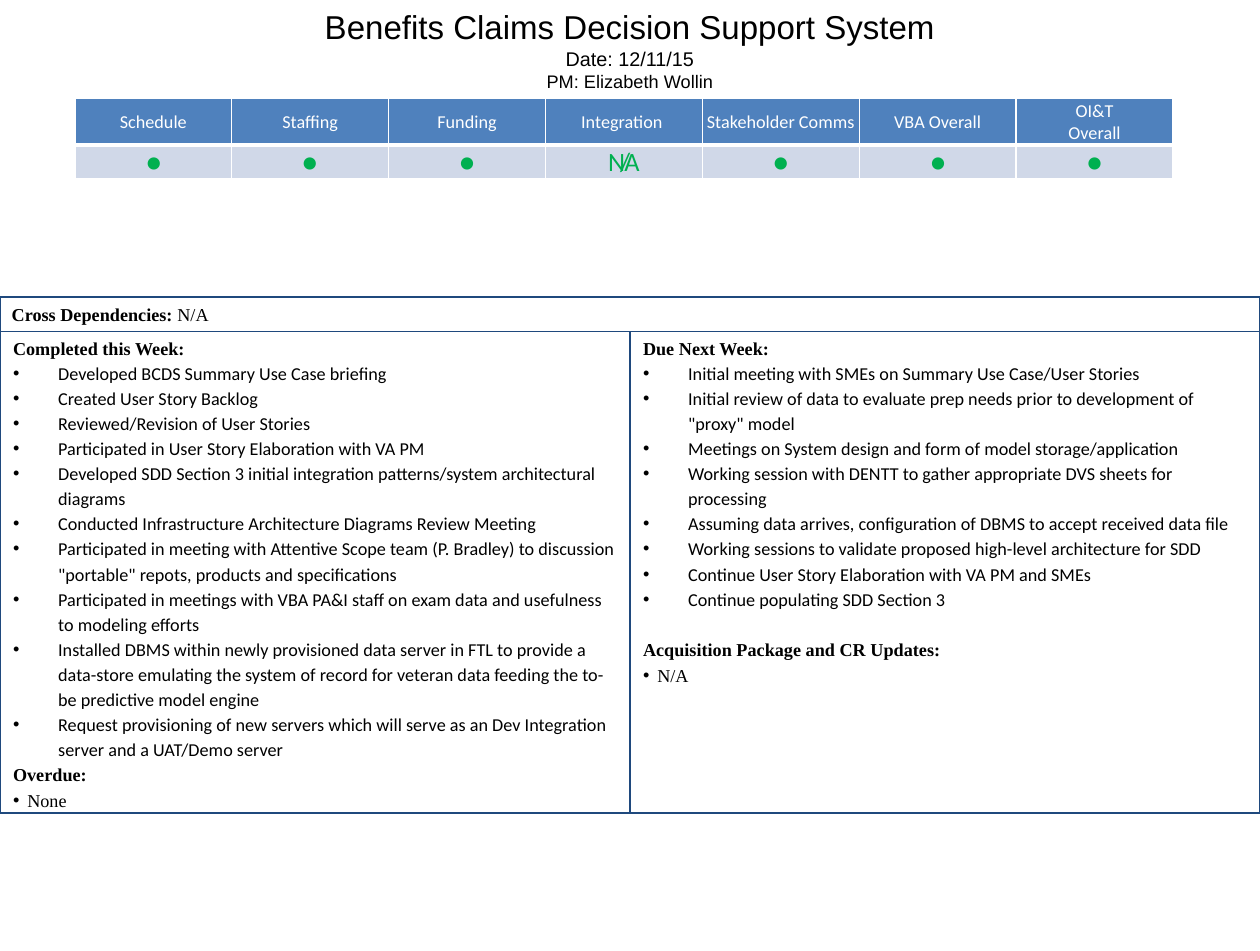
from lxml import etree
from pptx import Presentation
from pptx import util as u
from pptx.dml.color import RGBColor
from pptx.enum import shapes, text
from pptx.oxml.ns import qn

NAVY, BLUE, PALE = "1F497D", "4F81BD", "D0D8E8"
GREEN, WHITE, BLACK = "00B050", "FFFFFF", "000000"
SERIF = "Times New Roman"

STATUSES = [
    ("Schedule", " ●"),
    ("Staffing", "● "),
    ("Funding", " ● "),
    ("Integration ", " N/A "),
    ("Stakeholder Comms", " ● "),
    ("VBA Overall", "  ● "),
    ("OI&T\nOverall", "●"),
]
COMPLETED = [
    "Developed BCDS Summary Use Case briefing",
    "Created User Story Backlog",
    "Reviewed/Revision of User Stories",
    "Participated in User Story Elaboration with VA PM",
    "Developed SDD Section 3 initial integration patterns/system architectural diagrams",
    "Conducted Infrastructure Architecture Diagrams Review Meeting",
    "Participated in meeting with Attentive Scope team (P. Bradley) to discussion "
    '"portable" repots, products and specifications',
    "Participated in meetings with VBA PA&I staff on exam data and usefulness to modeling efforts",
    "Installed DBMS within newly provisioned data server in FTL to provide a data-store "
    "emulating the system of record for veteran data feeding the to-be predictive model engine",
    "Request provisioning of new servers which will serve as an Dev Integration server "
    "and a UAT/Demo server",
]
DUE = [
    "Initial meeting with SMEs on Summary Use Case/User Stories",
    'Initial review of data to evaluate prep needs prior to development of "proxy" model',
    "Meetings on System design and form of model storage/application",
    "Working session with DENTT to gather appropriate DVS sheets for processing",
    "Assuming data arrives, configuration of DBMS to accept received data file",
    "Working sessions to validate proposed high-level architecture for SDD",
    "Continue User Story Elaboration with VA PM and SMEs",
    "Continue populating SDD Section 3",
]


def color(value):
    return RGBColor.from_string(value)


def style(para, size, face, shade=BLACK, bold=False):
    para.font.size = u.Pt(size)
    para.font.name = face
    para.font.color.rgb = color(shade)
    para.font.bold = bold


def add_bullet(para, indent):
    props = para._p.get_or_add_pPr()
    props.set("marL", str(u.Inches(indent)))
    props.set("indent", str(-u.Inches(indent)))
    etree.SubElement(props, qn("a:buFont")).set("typeface", "Arial")
    etree.SubElement(props, qn("a:buChar")).set("char", "•")


def add_panel(page, left, top, width, height):
    panel = page.shapes.add_shape(
        shapes.MSO_SHAPE.RECTANGLE, *map(u.Inches, (left, top, width, height)))
    panel.shadow.inherit = False
    panel.fill.background()
    panel.line.color.rgb = color(NAVY)
    panel.line.width = u.Pt(1)
    panel.text_frame.word_wrap = True
    return panel.text_frame


def add_list_panel(page, left, title, items, closing, closing_item, gap):
    frame = add_panel(page, left, 2.79, 5.3, 4.05)
    frame.vertical_anchor = text.MSO_ANCHOR.TOP
    frame.margin_left = frame.margin_right = u.Inches(0.11)
    lines = [(title, "heading", 0)]
    lines += [(item, "item", 0) for item in items]
    lines += [(closing, "heading", gap), (closing_item, "note", 2.2)]
    for index, (words, kind, before) in enumerate(lines):
        para = frame.add_paragraph() if index else frame.paragraphs[0]
        para.text = words
        para.alignment = text.PP_ALIGN.LEFT
        para.space_before = u.Pt(before)
        if kind == "item":
            para.line_spacing = 1.15
        if kind != "heading":
            add_bullet(para, 0.38 if kind == "item" else 0.12)
        style(para, 11, "Calibri" if kind == "item" else SERIF, bold=kind == "heading")


def add_dependencies(page):
    frame = add_panel(page, 0, 2.5, 10.6, 0.29)
    frame.vertical_anchor = text.MSO_ANCHOR.MIDDLE
    para = frame.paragraphs[0]
    para.alignment = text.PP_ALIGN.LEFT
    style(para, 11, SERIF)
    label = para.add_run()
    label.text = "Cross Dependencies: "
    label.font.bold = True
    para.add_run().text = "N/A"


def set_borders(cell, top, bottom):
    props = cell._tc.get_or_add_tcPr()
    sides = (("a:lnL", 1), ("a:lnR", 1), ("a:lnT", top), ("a:lnB", bottom))
    for index, (tag, width) in enumerate(sides):
        line = etree.Element(qn(tag), w=str(u.Pt(width)))
        fill = etree.SubElement(line, qn("a:solidFill"))
        etree.SubElement(fill, qn("a:srgbClr")).set("val", WHITE)
        props.insert(index, line)


def fill_cell(cell, words, size, shade, back, borders, spacing=0):
    cell.fill.solid()
    cell.fill.fore_color.rgb = color(back)
    set_borders(cell, *borders)
    cell.vertical_anchor = text.MSO_ANCHOR.MIDDLE
    cell.margin_left = cell.margin_right = cell.margin_top = u.Inches(0.01)
    cell.margin_bottom = 0
    cell.text_frame.text = words
    for para in cell.text_frame.paragraphs:
        para.alignment = text.PP_ALIGN.CENTER
        style(para, size, "Calibri", shade)
        if spacing:
            for span in para.runs:
                span._r.get_or_add_rPr().set("spc", str(spacing * 100))


def add_status_table(page):
    frame = page.shapes.add_table(
        2, len(STATUSES), *map(u.Inches, (0.63, 0.83, 9.25, 0.65)))
    table = frame.table
    table.first_row = table.horz_banding = False
    table.rows[0].height = u.Inches(0.37)
    table.rows[1].height = u.Inches(0.28)
    for index, (heading, status) in enumerate(STATUSES):
        table.columns[index].width = u.Inches(1.32)
        fill_cell(table.cell(0, index), heading, 11, WHITE, BLUE, (1, 3))
        fill_cell(table.cell(1, index), status, 16, GREEN, PALE, (3, 1), -3)


def add_title(page):
    box = page.shapes.add_textbox(0, 0, u.Inches(10.6), u.Inches(0.83))
    frame = box.text_frame
    frame.word_wrap = True
    frame.vertical_anchor = text.MSO_ANCHOR.MIDDLE
    frame.text = "Benefits Claims Decision Support System\nDate: 12/11/15\nPM: Elizabeth Wollin"
    for para, size in zip(frame.paragraphs, (20, 12, 11)):
        para.alignment = text.PP_ALIGN.CENTER
        style(para, size, "Arial")


def main():
    deck = Presentation()
    deck.slide_width, deck.slide_height = u.Inches(10.6), u.Inches(8)
    page = deck.slides.add_slide(deck.slide_layouts[6])
    add_list_panel(page, 0, "Completed this Week:", COMPLETED, "Overdue:", "None", 2.2)
    add_list_panel(page, 5.3, "Due Next Week:", DUE,
                   "Acquisition Package and CR Updates:", "N/A", 17.5)
    add_dependencies(page)
    add_status_table(page)
    add_title(page)
    deck.save("out.pptx")


if __name__ == "__main__":
    main()
